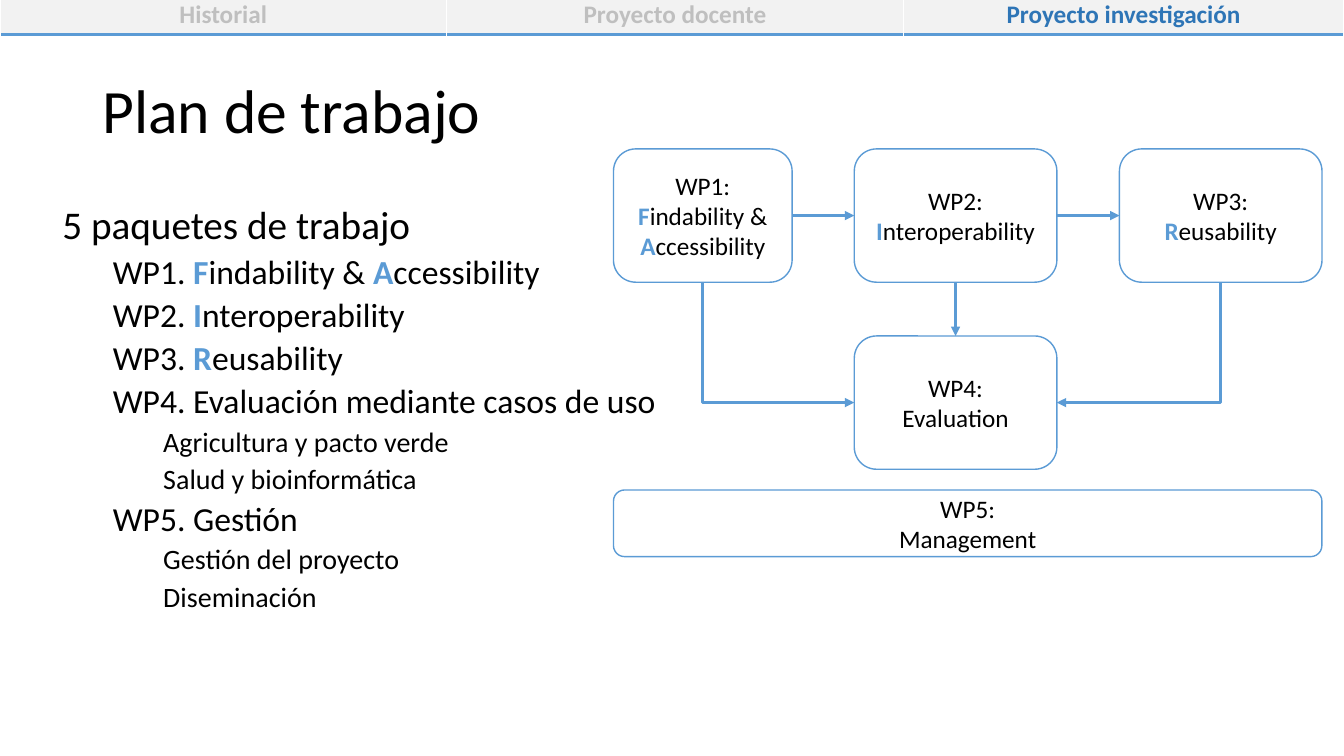
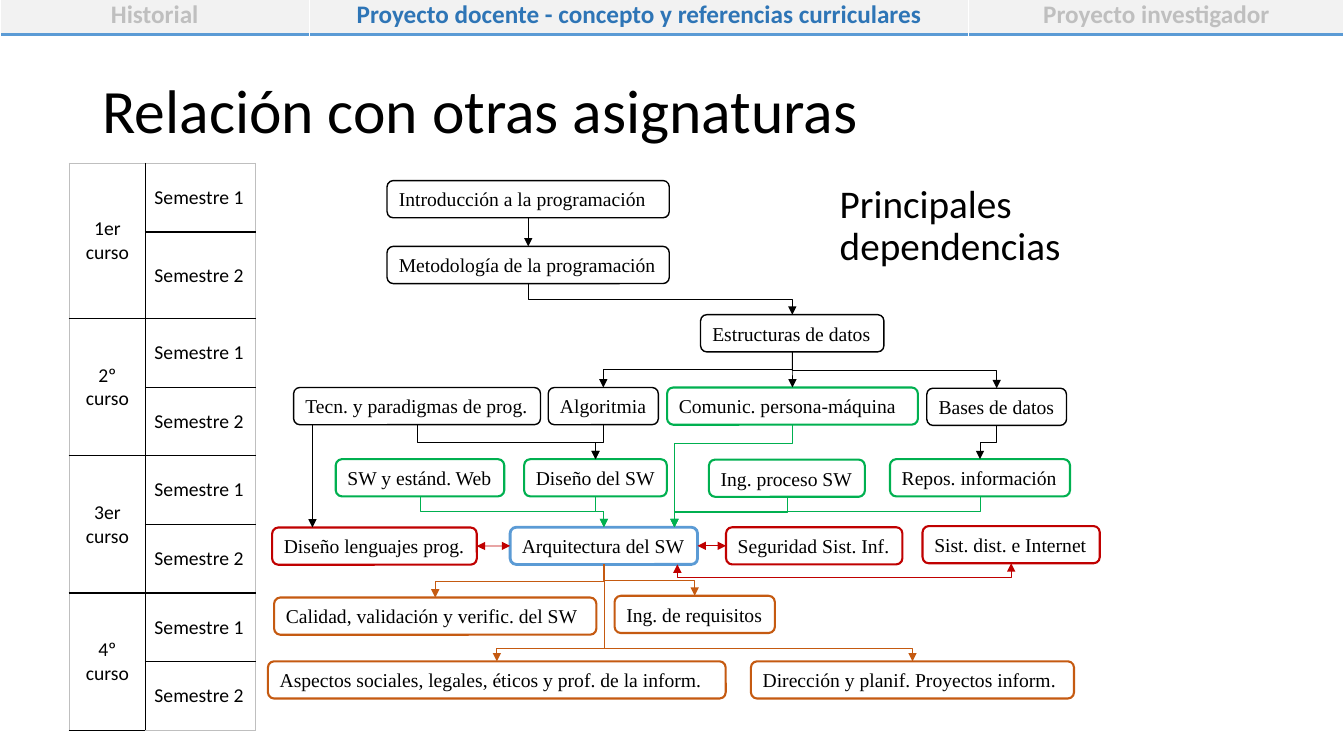
"""Build two slides: a work plan and a map of course dependencies."""
import pptx
import pptx.util
import pptx.dml.color
import pptx.enum.shapes
import pptx.enum.text
import pptx.oxml
import pptx.oxml.ns

Pt = pptx.util.Pt
qn = pptx.oxml.ns.qn
ALIGN = pptx.enum.text.PP_ALIGN
ANCHOR = pptx.enum.text.MSO_ANCHOR
FIT = pptx.enum.text.MSO_AUTO_SIZE
CONNECTOR = pptx.enum.shapes.MSO_CONNECTOR
ROUNDED = pptx.enum.shapes.MSO_SHAPE.ROUNDED_RECTANGLE
TOP, LEFT, BOTTOM, RIGHT = range(4)

COLOURS = {
    "black": "000000", "white": "FFFFFF", "accent": "5B9BD5", "active": "2E75B6",
    "muted": "BFBFBF", "band": "F2F2F2", "green": "00B050", "red": "C00000",
    "orange": "C55A11",
}
TITLE = {"size": Pt(44), "name": "Calibri"}
LEVELS = [{"size": Pt(size), "name": "Calibri"} for size in (28, 24, 20)]
TAB = {"size": Pt(18), "name": "Calibri", "bold": True}
PACKAGE = {"size": Pt(18), "name": "Calibri"}
CALENDAR = {"size": Pt(14), "name": "Calibri"}
COURSE = {"size": Pt(14), "name": "Times New Roman"}


def rgb(colour):
    return pptx.dml.color.RGBColor.from_string(COLOURS[colour])


def apply(target, values):
    for name, value in values.items():
        setattr(target, name, value)


def element(tag, **attributes):
    node = pptx.oxml.parse_xml(f"<a:{tag} {pptx.oxml.ns.nsdecls('a')}/>")
    for name, value in attributes.items():
        node.set(name, value)
    return node


class SlideBuilder:
    def __init__(self):
        self.deck = pptx.Presentation()
        apply(self.deck, {"slide_width": Pt(960), "slide_height": Pt(540)})
        self.page = None

    def new_page(self, title, tabs, widths, active):
        self.page = self.deck.slides.add_slide(self.deck.slide_layouts[1])
        holder = self.page.shapes.title
        self.place(holder, 66, 28.8, 828, 104.4)
        holder.text_frame.vertical_anchor = ANCHOR.MIDDLE
        para = holder.text_frame.paragraphs[0]
        apply(para, {"alignment": ALIGN.LEFT, "line_spacing": 0.9})
        self.add_text(para, title, TITLE)
        table = self.table(0, -4.3, widths, [22])
        for index, label in enumerate(tabs):
            cell = table.cell(0, index)
            self.borders(cell, {"L": ("white", 1), "R": ("white", 1), "B": ("accent", 2.25)})
            cell.fill.solid()
            cell.fill.fore_color.rgb = rgb("band")
            para = cell.text_frame.paragraphs[0]
            para.alignment = ALIGN.CENTER
            self.add_text(para, label, TAB, "active" if index == active else "muted")

    def place(self, shape, left, top, width, height):
        apply(shape, {"left": Pt(left), "top": Pt(top), "width": Pt(width), "height": Pt(height)})

    def add_text(self, para, text, style, colour="black"):
        for index, part in enumerate(text.split("*")):
            if part:
                span = para.add_run()
                span.text = part
                apply(span.font, style)
                if index % 2:
                    span.font.bold = True
                span.font.color.rgb = rgb("accent" if index % 2 else colour)

    def body(self, left, top, width, height, items):
        holder = self.page.placeholders[1]
        self.place(holder, left, top, width, height)
        frame = holder.text_frame
        for index, (level, text) in enumerate(items):
            para = frame.add_paragraph() if index else frame.paragraphs[0]
            props = para._p.get_or_add_pPr()
            props.set("marL", str(Pt(36 * level)))
            props.set("indent", "0")
            props.append(element("buNone"))
            apply(para, {"level": level, "alignment": ALIGN.LEFT, "line_spacing": 0.9,
                         "space_before": Pt(5 if index else 0)})
            self.add_text(para, text, LEVELS[level])

    def table(self, left, top, widths, heights):
        table = self.page.shapes.add_table(
            len(heights), len(widths), Pt(left), Pt(top), Pt(sum(widths)), Pt(sum(heights))).table
        apply(table, {"first_row": False, "horz_banding": False})
        for column, width in zip(table.columns, widths):
            column.width = Pt(width)
        for row, height in zip(table.rows, heights):
            row.height = Pt(height)
        return table

    def borders(self, cell, sides):
        props = cell._tc.get_or_add_tcPr()
        for side, (colour, weight) in sides.items():
            line = element("ln" + side, w=str(Pt(weight)))
            fill = element("solidFill")
            fill.append(element("srgbClr", val=COLOURS[colour]))
            line.append(fill)
            props.append(line)

    def calendar(self, left, top, widths, heights, years):
        table = self.table(left, top, widths, heights)
        last = len(heights) - 1
        for row in range(len(heights)):
            for column in range(2):
                cell = table.cell(row, column)
                outer = {"L": column == 0, "R": column == 1, "T": row == 0, "B": row == last}
                self.borders(cell, {side: ("muted" if edge else "black", 1)
                                    for side, edge in outer.items()})
                cell.fill.background()
                apply(cell, {"vertical_anchor": ANCHOR.MIDDLE,
                             "margin_left": Pt(6.4), "margin_right": Pt(6.4)})
            self.add_text(table.cell(row, 1).text_frame.paragraphs[0],
                          f"Semestre {row % 2 + 1}", CALENDAR)
        for index, year in enumerate(years):
            cell = table.cell(2 * index, 0)
            cell.merge(table.cell(2 * index + 1, 0))
            para = cell.text_frame.paragraphs[0]
            para.alignment = ALIGN.CENTER
            self.add_text(para, f"{year} curso", CALENDAR)

    def box(self, left, top, width, height, lines, style, colour, weight,
            align=ALIGN.CENTER, fit=False):
        box = self.page.shapes.add_shape(ROUNDED, Pt(left), Pt(top), Pt(width), Pt(height))
        box.shadow.inherit = False
        box.fill.solid()
        box.fill.fore_color.rgb = rgb("white")
        box.line.color.rgb = rgb(colour)
        box.line.width = Pt(weight)
        frame = box.text_frame
        apply(frame, {"word_wrap": not fit, "vertical_anchor": ANCHOR.MIDDLE,
                      "auto_size": FIT.SHAPE_TO_FIT_TEXT if fit else FIT.NONE})
        for index, text in enumerate(lines):
            para = frame.add_paragraph() if index else frame.paragraphs[0]
            para.alignment = align
            self.add_text(para, text, style)
        return box

    def connector(self, kind, ends, colour, weight, double=False):
        line = self.page.shapes.add_connector(kind, *ends)
        line.line.color.rgb = rgb(colour)
        line.line.width = Pt(weight)
        outline = line._element.spPr.find(qn("a:ln"))
        for tag in ("headEnd", "tailEnd")[0 if double else 1:]:
            outline.append(element(tag, type="triangle"))
        line._element.spPr.append(element("effectLst"))
        return line

    def arrow(self, start, start_side, end, end_side, colour, weight, double=False):
        line = self.connector(CONNECTOR.STRAIGHT, (0, 0, 0, 0), colour, weight, double)
        line.begin_connect(start, start_side)
        line.end_connect(end, end_side)

    def elbow(self, start, end, side, colour, weight, bend=None, shift=0, double=False):
        line = self.connector(CONNECTOR.ELBOW, (0, 0, 0, 0), colour, weight, double)
        line.begin_connect(start, BOTTOM)
        if not shift:
            line.end_connect(end, side)
        x1, y1 = start.left + start.width // 2, start.top + start.height
        x2 = end.left + {LEFT: 0, RIGHT: end.width}.get(side, end.width // 2) + Pt(shift)
        y2 = end.top + {TOP: 0, BOTTOM: end.height}.get(side, end.height // 2)
        across, down = abs(x2 - x1), y2 - y1
        apply(line, {"left": (x1 + x2 - down) // 2, "top": (y1 + y2 - across) // 2,
                     "width": down, "height": across})
        frame = line._element.spPr.find(qn("a:xfrm"))
        to_left = x2 < x1
        for name, value in {"rot": "5400000" if to_left else "16200000",
                            "flipH": "0" if to_left else "1", "flipV": "0"}.items():
            frame.set(name, value)
        shape = line._element.spPr.find(qn("a:prstGeom"))
        if side in (LEFT, RIGHT):
            shape.set("prst", "bentConnector2")
        elif bend:
            guides = shape.find(qn("a:avLst"))
            guides.append(element("gd", name="adj1", fmla=f"val {round(Pt(bend) / down * 100000)}"))


def work_plan(slides):
    slides.new_page("Plan de trabajo", ["Historial", "Proyecto docente", "Proyecto investigación"],
                    [319, 326.3, 314.7], 2)
    slides.body(37.4, 143.3, 828, 342.7, [
        (0, "5 paquetes de trabajo"),
        (1, "WP1. *F*indability & *A*ccessibility"),
        (1, "WP2. *I*nteroperability"),
        (1, "WP3. *R*eusability"),
        (1, "WP4. Evaluación mediante casos de uso"),
        (2, "Agricultura y pacto verde"),
        (2, "Salud y bioinformática"),
        (1, "WP5. Gestión"),
        (2, "Gestión del proyecto"),
        (2, "Diseminación"),
    ])
    packages = [
        (438.2, 106.4, 127.6, 95.2, "*F*indability & *A*ccessibility"),
        (610.2, 106.4, 144.7, 95.2, "*I*nteroperability"),
        (799.6, 106.4, 144.7, 95.2, "*R*eusability"),
        (610.2, 240, 144.7, 95.2, "Evaluation"),
        (438.2, 350, 506, 47.6, "Management"),
    ]
    find, interoperate, reuse, evaluate, _ = [
        slides.box(*place, [f"WP{number}:", name], PACKAGE, "accent", 1)
        for number, (*place, name) in enumerate(packages, 1)]
    slides.elbow(find, evaluate, LEFT, "accent", 2.25)
    slides.elbow(reuse, evaluate, RIGHT, "accent", 2.25)
    slides.arrow(find, RIGHT, interoperate, LEFT, "accent", 2.25)
    slides.arrow(interoperate, RIGHT, reuse, LEFT, "accent", 2.25)
    slides.arrow(interoperate, BOTTOM, evaluate, TOP, "accent", 2.25)


def dependencies(slides):
    slides.new_page("Relación con otras asignaturas",
                    ["Historial", "Proyecto docente - concepto y referencias curriculares",
                     "Proyecto investigador"], [221, 471, 268], 1)
    slides.body(592.6, 128.2, 214.6, 91.4, [(0, "Principales dependencias")])
    slides.calendar(49.5, 116.7, [54.5, 78.5], [49, 62] + [49] * 6, ["1er", "2º", "3er", "4º"])
    courses = {
        "intro": (276.5, 129, 201.6, "Introducción a la programación", "black"),
        "method": (276.5, 176, 201.6, "Metodología de la programación", "black"),
        "structures": (500.4, 224.8, 131, "Estructuras de datos", "black"),
        "paradigms": (209.7, 276.8, 176.4, "Tecn. y paradigmas de prog.", "black"),
        "algorithms": (391.6, 276.8, 78.7, "Algoritmia", "black"),
        "interaction": (476.5, 276.8, 179.2, "Comunic. persona-máquina", "green"),
        "databases": (662, 277.3, 99.8, "Bases de datos", "black"),
        "web": (239.8, 328, 120.4, "SW y estánd. Web", "green"),
        "design": (374.4, 328, 102, "Diseño del SW", "green"),
        "process": (506.4, 328.3, 111.4, "Ing. proceso SW", "green"),
        "storage": (635.7, 328, 128.6, "Repos. información", "green"),
        "languages": (194.4, 376.8, 146.2, "Diseño lenguajes prog.", "red"),
        "architecture": (364.4, 376.6, 133.9, "Arquitectura del SW", "accent"),
        "security": (518.6, 376.6, 126, "Seguridad Sist. Inf.", "red"),
        "distributed": (659, 375.8, 126.6, "Sist. dist. e Internet", "red"),
        "quality": (195.8, 426.8, 230.2, "Calidad, validación y verific. del SW", "orange"),
        "requirements": (439, 425.6, 114.5, "Ing. de requisitos", "orange"),
        "social": (191.4, 472.4, 327,
                   "Aspectos sociales, legales, éticos y prof. de la inform.", "orange"),
        "management": (536.4, 472.4, 230.8, "Dirección y planif. Proyectos inform.", "orange"),
    }
    weights = {"black": 1, "accent": 2}
    boxes = {key: slides.box(left, top, width, 26.6, [text], COURSE, colour,
                             weights.get(colour, 1.5), ALIGN.LEFT, True)
             for key, (left, top, width, text, colour) in courses.items()}
    elbows = [
        ("method", "structures", "black", {}),
        ("structures", "algorithms", "black", {}),
        ("structures", "databases", "black", {}),
        ("paradigms", "design", "black", {}),
        ("algorithms", "design", "black", {}),
        ("databases", "storage", "black", {}),
        ("web", "architecture", "green", {}),
        ("design", "architecture", "green", {}),
        ("process", "architecture", "green", {"shift": 50.4}),
        ("storage", "architecture", "green", {"shift": 50.4}),
        ("interaction", "architecture", "green", {"shift": 50.4, "bend": 13.4}),
        ("architecture", "quality", "orange", {}),
        ("architecture", "requirements", "orange", {}),
        ("architecture", "social", "orange", {"bend": 59.6}),
        ("architecture", "management", "orange", {"bend": 59.6}),
    ]
    for start, end, colour, options in elbows:
        slides.elbow(boxes[start], boxes[end], TOP, colour, 0.5, **options)
    slides.elbow(boxes["distributed"], boxes["architecture"], BOTTOM, "red", 0.5,
                 bend=10, shift=52.5, double=True)
    for start, end in (("intro", "method"), ("structures", "interaction")):
        slides.arrow(boxes[start], BOTTOM, boxes[end], TOP, "black", 0.5)
    for start, end in (("languages", "architecture"), ("architecture", "security")):
        slides.arrow(boxes[start], RIGHT, boxes[end], LEFT, "red", 0.5, True)
    slides.connector(CONNECTOR.STRAIGHT, (Pt(223.2), Pt(303.4), Pt(223.2), Pt(376.8)), "black", 0.5)


def main():
    slides = SlideBuilder()
    work_plan(slides)
    dependencies(slides)
    slides.deck.save("out.pptx")


if __name__ == "__main__":
    main()
